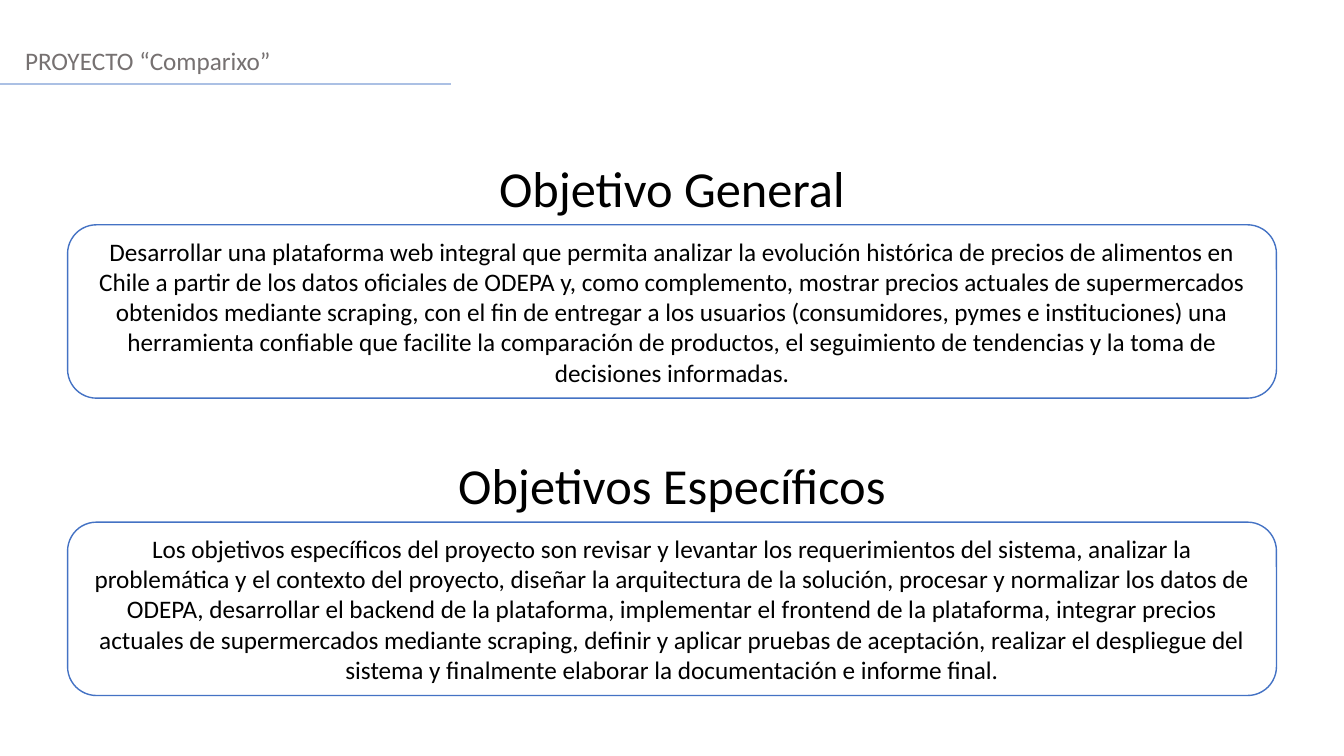
from lxml.etree import SubElement
from pptx import Presentation
from pptx.dml.color import RGBColor
from pptx.enum.shapes import MSO_CONNECTOR, MSO_SHAPE
from pptx.enum.text import MSO_ANCHOR, MSO_AUTO_SIZE, PP_ALIGN
from pptx.oxml.ns import qn
from pptx.util import Inches, Pt

SLIDE_WIDTH, SLIDE_HEIGHT = Inches(13.33), Inches(7.5)
FONT = "Calibri"
COLORS = {
    "header": "767171",
    "rule": "ABC0E4",
    "text": "000000",
    "panel": "FFFFFF",
    "outline": "4472C4",
}

MARGIN = Inches(0.67)
FIRST_SECTION_TOP = Inches(1.51)
SECTION_PITCH = Inches(2.95)
HEADING_HEIGHT = Inches(0.71)
PANEL_OFFSET = Inches(0.72)
PANEL_HEIGHT = Inches(1.72)

SECTIONS = [
    (
        "Objetivo General",
        "Desarrollar una plataforma web integral que permita analizar la evolución "
        "histórica de precios de alimentos en Chile a partir de los datos oficiales de "
        "ODEPA y, como complemento, mostrar precios actuales de supermercados obtenidos "
        "mediante scraping, con el fin de entregar a los usuarios (consumidores, pymes e "
        "instituciones) una herramienta confiable que facilite la comparación de "
        "productos, el seguimiento de tendencias y la toma de decisiones informadas.",
    ),
    (
        "Objetivos Específicos",
        "Los objetivos específicos del proyecto son revisar y levantar los requerimientos "
        "del sistema, analizar la problemática y el contexto del proyecto, diseñar la "
        "arquitectura de la solución, procesar y normalizar los datos de ODEPA, "
        "desarrollar el backend de la plataforma, implementar el frontend de la "
        "plataforma, integrar precios actuales de supermercados mediante scraping, "
        "definir y aplicar pruebas de aceptación, realizar el despliegue del sistema y "
        "finalmente elaborar la documentación e informe final.",
    ),
]


def color(role):
    return RGBColor.from_string(COLORS[role])


def write(frame, text, size, role, align):
    frame.word_wrap = True
    paragraph = frame.paragraphs[0]
    paragraph.text = text
    paragraph.alignment = align
    paragraph.font.name = FONT
    paragraph.font.size = Pt(size)
    paragraph.font.color.rgb = color(role)


def add_label(slide, text, left, top, width, height, size, role, align):
    frame = slide.shapes.add_textbox(left, top, width, height).text_frame
    write(frame, text, size, role, align)
    frame.auto_size = MSO_AUTO_SIZE.SHAPE_TO_FIT_TEXT


def add_header(slide, text):
    """Add the project name and the rule beneath it."""
    left = Inches(0.15)
    add_label(slide, text, left, Inches(0.4), SLIDE_WIDTH - left, Inches(0.4),
              18, "header", PP_ALIGN.LEFT)
    rule_top = Inches(0.83)
    rule = slide.shapes.add_connector(
        MSO_CONNECTOR.STRAIGHT, 0, rule_top, Inches(4.47), rule_top)
    rule.line.color.rgb = color("rule")
    rule.line.width = Pt(1.25)
    SubElement(rule.line._get_or_add_ln().getparent(), qn("a:effectLst"))


def add_panel(slide, text, top):
    panel = slide.shapes.add_shape(
        MSO_SHAPE.ROUNDED_RECTANGLE, MARGIN, top, SLIDE_WIDTH - 2 * MARGIN, PANEL_HEIGHT)
    panel.shadow.inherit = False
    panel.fill.solid()
    panel.fill.fore_color.rgb = color("panel")
    panel.line.color.rgb = color("outline")
    panel.line.width = Pt(1)
    panel.text_frame.vertical_anchor = MSO_ANCHOR.MIDDLE
    write(panel.text_frame, text, 18, "text", PP_ALIGN.CENTER)


def add_section(slide, heading, body, top):
    add_label(slide, heading, 0, top, SLIDE_WIDTH, HEADING_HEIGHT,
              36, "text", PP_ALIGN.CENTER)
    add_panel(slide, body, top + PANEL_OFFSET)


def main():
    deck = Presentation()
    deck.slide_width, deck.slide_height = SLIDE_WIDTH, SLIDE_HEIGHT
    slide = deck.slides.add_slide(deck.slide_layouts[6])
    add_header(slide, "PROYECTO “Comparixo”")
    for index, (heading, body) in enumerate(SECTIONS):
        add_section(slide, heading, body, FIRST_SECTION_TOP + index * SECTION_PITCH)
    deck.save("out.pptx")


if __name__ == "__main__":
    main()
